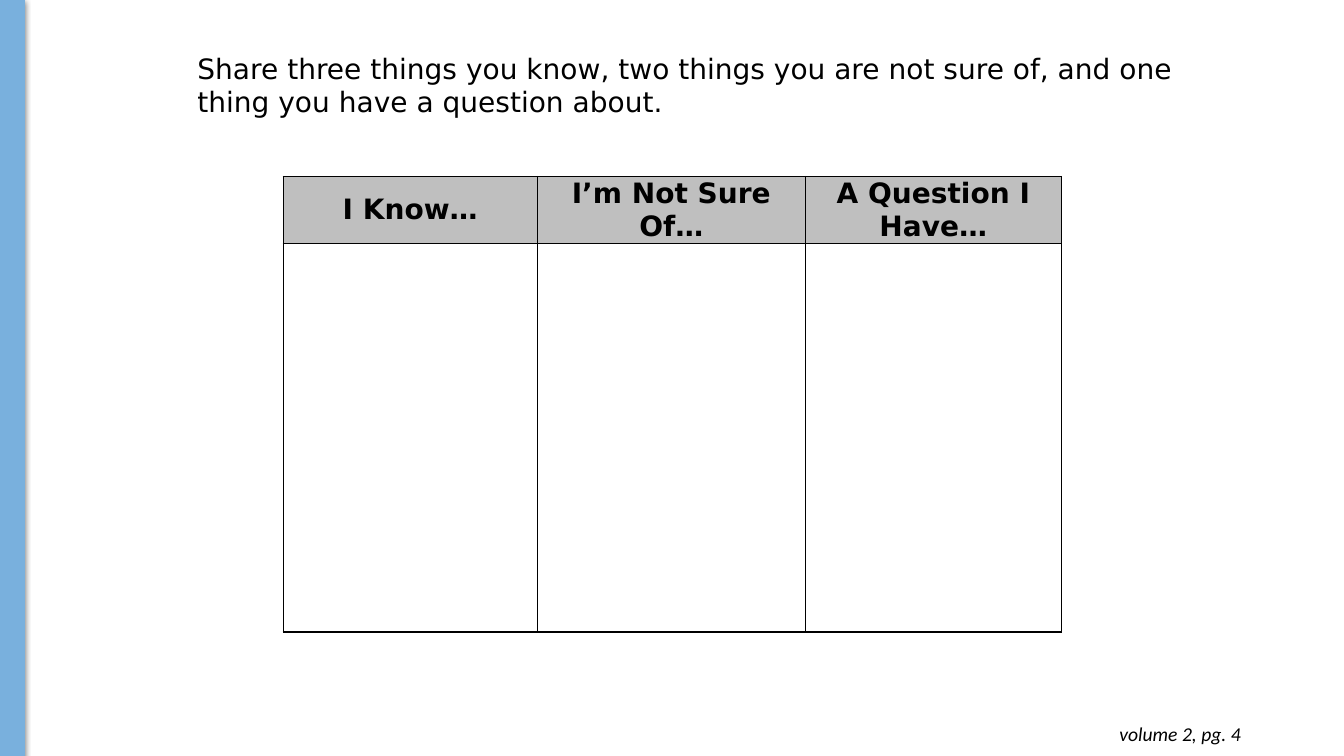
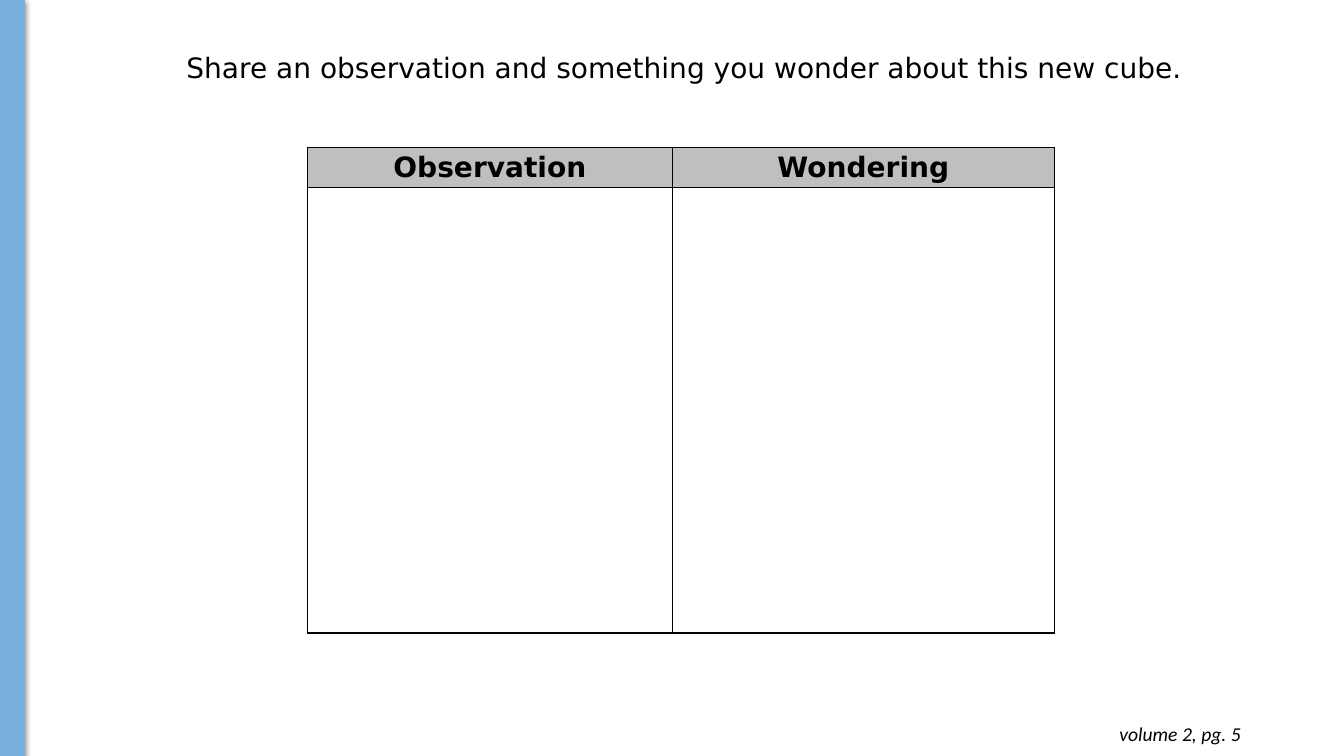
import pptx
import pptx.dml.color
import pptx.enum.shapes
import pptx.enum.text
import pptx.oxml
import pptx.oxml.ns
import pptx.util
from lxml import etree

# Palette
BLACK = pptx.dml.color.RGBColor(0x00, 0x00, 0x00)
WHITE = pptx.dml.color.RGBColor(0xFF, 0xFF, 0xFF)
GREY = pptx.dml.color.RGBColor(0xBF, 0xBF, 0xBF)
BLUE = pptx.dml.color.RGBColor(0x79, 0xB0, 0xDD)

# Text formats
TITLE = {"name": "DejaVu Sans", "size": pptx.util.Pt(20)}
HEADER = {**TITLE, "bold": True}
FOOTER = {"name": "Calibri", "size": pptx.util.Pt(14), "italic": True}

# Slide grid
COLUMNS, ROWS = 80, 45
ALIGN = pptx.enum.text.PP_ALIGN
NS = pptx.oxml.ns.nsdecls("a")


class Deck:
    """Holds the style and the current slide; lengths are grid columns and rows."""

    def __init__(self):
        self.prs = pptx.Presentation()
        self.prs.slide_width = pptx.util.Inches(13.33)
        self.prs.slide_height = pptx.util.Inches(7.5)
        self.s = None

    def x(self, columns):
        return round(self.prs.slide_width * columns / COLUMNS)

    def y(self, rows):
        return round(self.prs.slide_height * rows / ROWS)

    def box(self, left, top, width, height):
        return self.x(left), self.y(top), self.x(width), self.y(height)

    def new_slide(self):
        self.s = self.prs.slides.add_slide(self.prs.slide_layouts[6])

    def styled_run(self, p, text, style, align):
        p.alignment = align
        r = p.add_run()
        r.text = text
        r.font.color.rgb = BLACK
        for key, value in style.items():
            setattr(r.font, key, value)

    def text(self, place, text, style, align=ALIGN.LEFT, indent=0, inset=0.05):
        tf = self.s.shapes.add_textbox(*self.box(*place)).text_frame
        tf.word_wrap = True
        tf.auto_size = pptx.enum.text.MSO_AUTO_SIZE.SHAPE_TO_FIT_TEXT
        tf.margin_top = tf.margin_bottom = pptx.util.Inches(inset)
        p = tf.paragraphs[0]
        if indent:
            p._p.get_or_add_pPr().set("marL", str(self.x(indent)))
        self.styled_run(p, text, style, align)

    def borders(self, cell):
        tcPr = cell._tc.get_or_add_tcPr()
        for side in ("lnL", "lnR", "lnT", "lnB"):
            tcPr.append(pptx.oxml.parse_xml(
                f'<a:{side} {NS} w="{pptx.util.Pt(1)}"><a:solidFill>'
                f'<a:srgbClr val="{BLACK}"/></a:solidFill></a:{side}>'))

    def table(self, left, top, widths, heights, headers):
        place = self.box(left, top, sum(widths), sum(heights))
        table = self.s.shapes.add_table(len(heights), len(widths), *place).table
        table.first_row = table.horz_banding = False
        for column, width in zip(table.columns, widths):
            column.width = self.x(width)
        for row, height in zip(table.rows, heights):
            row.height = self.y(height)
        for cell in table.iter_cells():
            self.borders(cell)
            cell.fill.solid()
            cell.fill.fore_color.rgb = WHITE
        for cell, header in zip(table.rows[0].cells, headers):
            cell.fill.fore_color.rgb = GREY
            cell.vertical_anchor = pptx.enum.text.MSO_ANCHOR.MIDDLE
            cell.margin_left = cell.margin_right = pptx.util.Inches(0.07)
            cell.margin_top = cell.margin_bottom = 0
            self.styled_run(cell.text_frame.paragraphs[0], header, HEADER,
                            ALIGN.CENTER)

    def side_band(self):
        sp = self.s.shapes.add_shape(pptx.enum.shapes.MSO_SHAPE.RECTANGLE,
                                     *self.box(0, 0, 1.44, ROWS))
        sp.fill.solid()
        sp.fill.fore_color.rgb = BLUE
        sp.line.color.rgb = BLUE
        sp.line.width = pptx.util.Pt(0.75)
        # Soft shadow, half transparent, falling straight down
        sp.shadow.inherit = False
        effects = sp._element.spPr.find(pptx.oxml.ns.qn("a:effectLst"))
        effects.append(etree.fromstring(
            f'<a:outerShdw {NS} blurRad="{pptx.util.Pt(4.5)}" '
            f'dist="{pptx.util.Pt(1.5)}" dir="5400000" rotWithShape="0">'
            f'<a:srgbClr val="{BLACK}"><a:alpha val="50000"/></a:srgbClr>'
            '</a:outerShdw>'))

    def footer(self, page):
        self.text((57.18, 42.36, 17.28, 2.64), f"volume 2, pg. {page}", FOOTER,
                  ALIGN.RIGHT, inset=0.1)


def main():
    deck = Deck()

    # Know, not sure, question
    deck.new_slide()
    deck.text((8.16, 2.76, 63.66, 4.62),
              "Share three things you know, two things you are not sure of, "
              "and one thing you have a question about.", TITLE, indent=3)
    deck.table(16.86, 10.5, (15.12, 15.96, 15.24), (4.02, 23.1),
               ("I Know…", "I’m Not Sure Of…", "A Question I Have…"))
    deck.side_band()
    deck.footer(4)

    # Observation and wondering
    deck.new_slide()
    deck.text((7.44, 2.7, 66.18, 4.02),
              "Share an observation and something you wonder about this new cube.",
              TITLE, indent=3.06)
    deck.table(18.3, 8.76, (21.72, 22.74), (2.4, 26.52),
               ("Observation", "Wondering"))
    deck.side_band()
    deck.footer(5)

    deck.prs.save("out.pptx")


if __name__ == "__main__":
    main()
